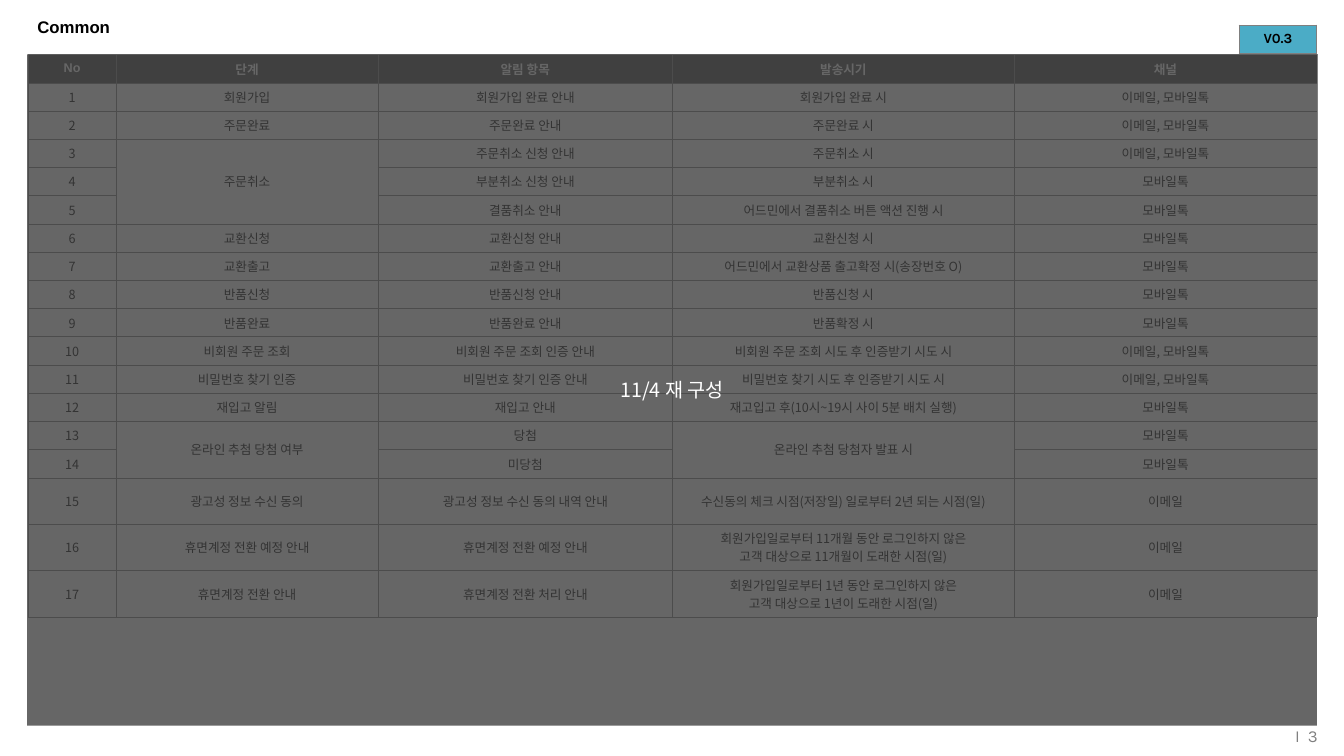
from lxml.etree import SubElement
from pptx import Presentation
from pptx.dml.color import RGBColor
from pptx.enum.shapes import MSO_SHAPE
from pptx.enum.text import MSO_ANCHOR, PP_ALIGN
from pptx.oxml.ns import qn
from pptx.util import Inches, Pt

BLACK = RGBColor(0x00, 0x00, 0x00)
WHITE = RGBColor(0xFF, 0xFF, 0xFF)
DARK = RGBColor(0x40, 0x40, 0x40)
GRAY = RGBColor(0x80, 0x80, 0x80)
BORDER = RGBColor(0x7F, 0x7F, 0x7F)
TEAL = RGBColor(0x4B, 0xAC, 0xC6)
KOREAN = "Noto Sans CJK KR"

W, H = 13.33, 7.5
MARGIN, TOP = 0.27, 0.54
CONTENT_W = W - 2 * MARGIN
ROW_H, TALL_ROW_H = 0.28, 0.46
TALL_ROWS = 3
COLS = [0.87, 2.6, 2.92, 3.39, 3]


def write(tf, text, size, font, color, bold=False, align=PP_ALIGN.CENTER):
    tf.word_wrap = True
    for i, line in enumerate(text.split("\n")):
        p = tf.add_paragraph() if i else tf.paragraphs[0]
        p.alignment = align
        r = p.add_run()
        r.text = line
        r.font.size, r.font.bold, r.font.name = Pt(size), bold, font
        r.font.color.rgb = color


def style_cell(cell, fill, line_color, line_width, side_margin, end_margin):
    cell.vertical_anchor = MSO_ANCHOR.MIDDLE
    cell.margin_left = cell.margin_right = Inches(side_margin)
    cell.margin_top = cell.margin_bottom = Inches(end_margin)
    tcPr = cell._tc.get_or_add_tcPr()
    for side in ("a:lnL", "a:lnR", "a:lnT", "a:lnB"):
        ln = SubElement(tcPr, qn(side), w=str(Pt(line_width)))
        solid = SubElement(ln, qn("a:solidFill"))
        SubElement(solid, qn("a:srgbClr"), val=str(line_color))
    if fill is None:
        cell.fill.background()
    else:
        cell.fill.solid()
        cell.fill.fore_color.rgb = fill


prs = Presentation()
prs.slide_width, prs.slide_height = Inches(W), Inches(H)
s = prs.slides.add_slide(prs.slide_layouts[5])

# Title
title = s.shapes.title
title.left, title.top = Inches(MARGIN), Inches(0.08)
title.width, title.height = Inches(CONTENT_W), Inches(0.38)
title.text_frame.vertical_anchor = MSO_ANCHOR.MIDDLE
write(title.text_frame, "Common", 12, "Arial", BLACK, True, PP_ALIGN.LEFT)

# Page number
sp = s.shapes.add_textbox(Inches(11.14), Inches(H - 0.4), Inches(1.93), Inches(0.39))
tf = sp.text_frame
tf.margin_left = tf.margin_right = tf.margin_top = tf.margin_bottom = 0
tf.vertical_anchor = MSO_ANCHOR.MIDDLE
write(tf, "I  3", 12, "Karla", GRAY, align=PP_ALIGN.RIGHT)

# Notification table: stage, item, time of sending, channel
MAIL, TALK = "이메일", "모바일톡"
BOTH = f"{MAIL}, {TALK}"
NOTICES = [
    ("회원가입", "회원가입 완료 안내", "회원가입 완료 시", BOTH),
    ("주문완료", "주문완료 안내", "주문완료 시", BOTH),
    ("주문취소", "주문취소 신청 안내", "주문취소 시", BOTH),
    ("", "부분취소 신청 안내", "부분취소 시", TALK),
    ("", "결품취소 안내", "어드민에서 결품취소 버튼 액션 진행 시", TALK),
    ("교환신청", "교환신청 안내", "교환신청 시", TALK),
    ("교환출고", "교환출고 안내", "어드민에서 교환상품 출고확정 시(송장번호 O)", TALK),
    ("반품신청", "반품신청 안내", "반품신청 시", TALK),
    ("반품완료", "반품완료 안내", "반품확정 시", TALK),
    ("비회원 주문 조회", "비회원 주문 조회 인증 안내",
     "비회원 주문 조회 시도 후 인증받기 시도 시", BOTH),
    ("비밀번호 찾기 인증", "비밀번호 찾기 인증 안내",
     "비밀번호 찾기 시도 후 인증받기 시도 시", BOTH),
    ("재입고 알림", "재입고 안내", "재고입고 후(10시~19시 사이 5분 배치 실행)", TALK),
    ("온라인 추첨 당첨 여부", "당첨", "온라인 추첨 당첨자 발표 시", TALK),
    ("", "미당첨", "", TALK),
    ("광고성 정보 수신 동의", "광고성 정보 수신 동의 내역 안내",
     "수신동의 체크 시점(저장일) 일로부터 2년 되는 시점(일)", MAIL),
    ("휴면계정 전환 예정 안내", "휴면계정 전환 예정 안내",
     "회원가입일로부터 11개월 동안 로그인하지 않은\n고객 대상으로 11개월이 도래한 시점(일)", MAIL),
    ("휴면계정 전환 안내", "휴면계정 전환 처리 안내",
     "회원가입일로부터 1년 동안 로그인하지 않은\n고객 대상으로 1년이 도래한 시점(일)", MAIL),
]
rows = [("No", "단계", "알림 항목", "발송시기", "채널")]
rows += [(str(n), *notice) for n, notice in enumerate(NOTICES, 1)]
heights = [ROW_H] * (len(rows) - TALL_ROWS) + [TALL_ROW_H] * TALL_ROWS

table = s.shapes.add_table(len(rows), len(COLS), Inches(0.28), Inches(TOP),
                           Inches(sum(COLS)), Inches(sum(heights))).table
table.first_row = table.horz_banding = False
for column, width in zip(table.columns, COLS):
    column.width = Inches(width)
for i, row in enumerate(rows):
    table.rows[i].height = Inches(heights[i])
    header = i == 0
    for j, text in enumerate(row):
        cell = table.cell(i, j)
        style_cell(cell, DARK if header else None, GRAY, 0.25, 0.11, 0.05)
        p = cell.text_frame.paragraphs[0]
        if text:
            write(cell.text_frame, text, 9, "Arial" if header else KOREAN,
                  WHITE if header else BLACK, header)
        else:
            p.font.size = Pt(9)
        if header:
            p.space_before = Pt(1.8)
for first, last, col in [(3, 5, 1), (13, 14, 1), (13, 14, 3)]:
    table.cell(first, col).merge(table.cell(last, col))

# Translucent cover with the revision note
cover = s.shapes.add_shape(MSO_SHAPE.RECTANGLE, Inches(MARGIN), Inches(TOP),
                           Inches(CONTENT_W), Inches(6.66))
cover.shadow.inherit = False
cover.line.fill.background()
cover.fill.solid()
cover.fill.fore_color.rgb = DARK
SubElement(cover._element.spPr.find(".//" + qn("a:srgbClr")), qn("a:alpha"), val="80000")
cover.text_frame.vertical_anchor = MSO_ANCHOR.MIDDLE
write(cover.text_frame, "11/4 재 구성", 14, KOREAN, WHITE)

# Version tag
tag = s.shapes.add_table(1, 1, Inches(12.29), Inches(0.25), Inches(0.77), Inches(0.28)).table
tag.first_row = tag.horz_banding = False
cell = tag.cell(0, 0)
style_cell(cell, TEAL, BORDER, 1, 0, 0)
write(cell.text_frame, "V0.3", 10, "Karla", BLACK, True)

prs.save("out.pptx")
